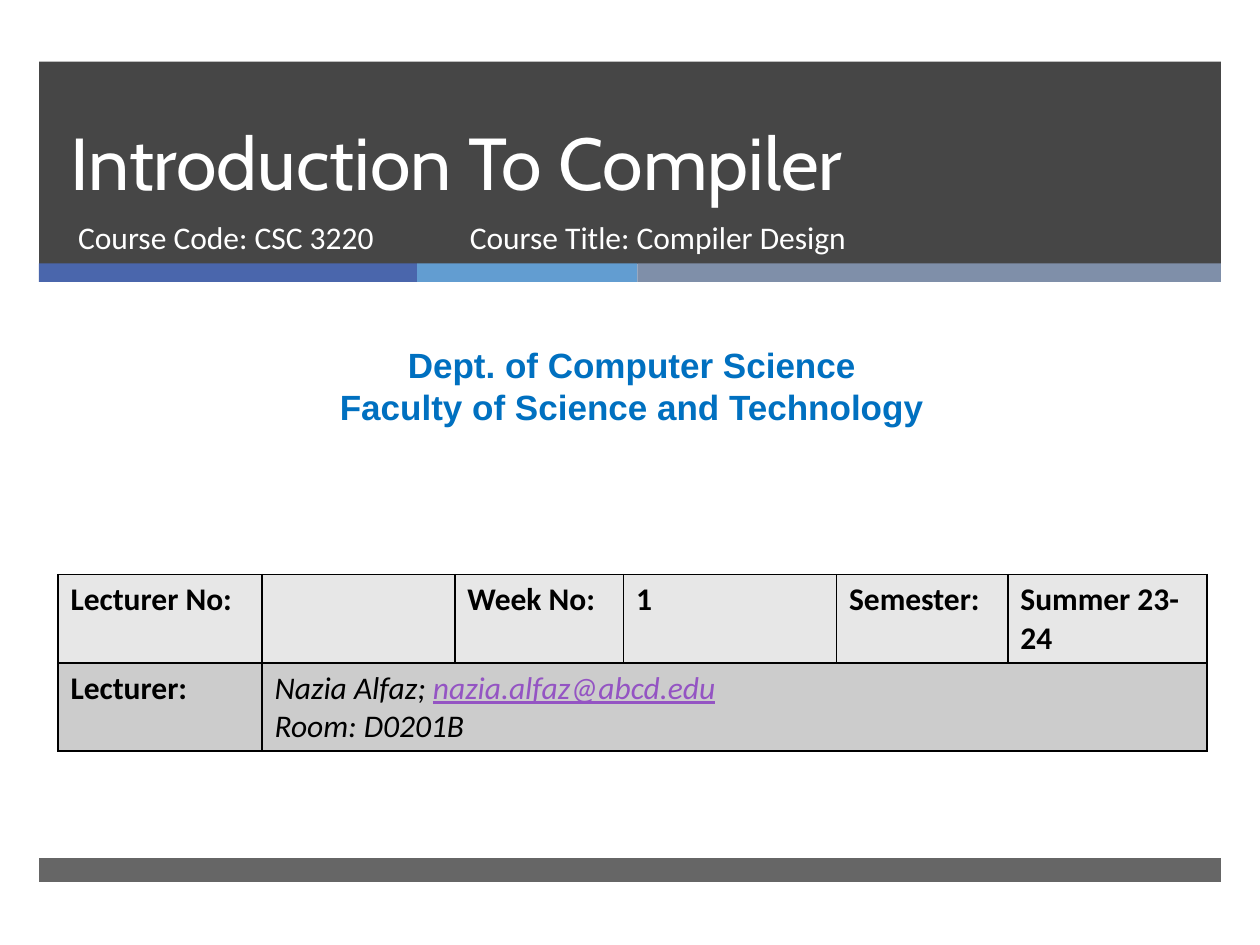
from lxml.etree import SubElement
from pptx import Presentation
from pptx.dml.color import RGBColor
from pptx.enum.shapes import MSO_SHAPE as Shape
from pptx.enum.text import MSO_ANCHOR as Anchor, MSO_AUTO_SIZE as AutoSize, PP_ALIGN as Align
from pptx.oxml.ns import qn
from pptx.util import Pt

WHITE, BLACK, CHARCOAL = "FFFFFF", "000000", "262626"
BAND_LEFT, BAND_WIDTH = 22.32, 675.36

TITLE = {"size": Pt(42), "name": "Cabin", "color": WHITE, "bold": False}
COURSE = {"size": Pt(18), "name": "Calibri", "color": WHITE}
DEPARTMENT = {"size": Pt(20), "name": "Arial", "color": "0070C0", "bold": True}
LABEL = {"size": Pt(18), "name": "Calibri", "color": BLACK, "bold": True}
DETAIL = LABEL | {"bold": False, "italic": True}
EMAIL = DETAIL | {"color": "9454C3", "underline": True}


def paint(colour_format, hex_code):
    colour_format.rgb = RGBColor.from_string(hex_code)


def fill_solid(fill, hex_code):
    fill.solid()
    paint(fill.fore_color, hex_code)


def add_band(slide, left, top, width, height, colour, opacity=100):
    band = slide.shapes.add_shape(Shape.RECTANGLE, Pt(left), Pt(top), Pt(width), Pt(height))
    band.shadow.inherit = False
    band.line.fill.background()
    fill_solid(band.fill, colour)
    if opacity < 100:
        colour_xml = band.fill._xPr.find(qn("a:solidFill"))[0]
        SubElement(colour_xml, qn("a:alpha"), val=str(opacity * 1000))


def write(frame, paragraphs, align=Align.LEFT):
    """Each paragraph is a list of (text, format) runs."""
    frame.word_wrap = True
    for index, runs in enumerate(paragraphs):
        paragraph = frame.paragraphs[0] if index == 0 else frame.add_paragraph()
        paragraph.alignment = align
        paragraph.space_before = Pt(0)
        for text, style in runs:
            run = paragraph.add_run()
            run.text = text
            for key, value in style.items():
                if key == "color":
                    paint(run.font.color, value)
                else:
                    setattr(run.font, key, value)


def fill_placeholder(holder, left, top, width, height, text, style, anchor):
    holder.left, holder.top, holder.width, holder.height = map(Pt, (left, top, width, height))
    write(holder.text_frame, [[(text, style)]])
    holder.text_frame.auto_size = AutoSize.NONE
    holder.text_frame.vertical_anchor = anchor


def add_text(slide, left, top, width, height, paragraphs, align=Align.LEFT):
    box = slide.shapes.add_textbox(Pt(left), Pt(top), Pt(width), Pt(height))
    write(box.text_frame, paragraphs, align)


def set_borders(cell, colour, width):
    properties = cell._tc.get_or_add_tcPr()
    for index, side in enumerate(("lnL", "lnR", "lnT", "lnB")):
        line = SubElement(properties, qn(f"a:{side}"), w=str(Pt(width)))
        SubElement(SubElement(line, qn("a:solidFill")), qn("a:srgbClr"), val=colour)
        properties.insert(index, line)


def add_lecture_table(slide):
    widths = (116.64, 110.16, 96.48, 121.68, 97.92, 113.76)
    row_height = 50.4
    rows = [
        [[[(text, LABEL)]] for text in
         ("Lecturer No:", "", "Week No:", "1", "Semester:", "Summer 23-24")],
        [[[("Lecturer:", LABEL)]],
         [[("Nazia Alfaz; ", DETAIL), ("nazia.alfaz@abcd.edu", EMAIL)],
          [("Room: D0201B", DETAIL)]]],
    ]
    table = slide.shapes.add_table(len(rows), len(widths), Pt(33.12), Pt(328.32),
                                   Pt(sum(widths)), Pt(row_height * len(rows))).table
    for column, width in zip(table.columns, widths):
        column.width = Pt(width)
    for row, contents, shade in zip(table.rows, rows, ("E7E7E7", "CCCCCC")):
        row.height = Pt(row_height)
        for cell in row.cells:
            fill_solid(cell.fill, shade)
            set_borders(cell, BLACK, 1)
        for cell, paragraphs in zip(row.cells, contents):
            write(cell.text_frame, paragraphs)
    # Lecturer details run across the remaining columns
    table.cell(1, 1).merge(table.cell(1, len(widths) - 1))


def main():
    deck = Presentation()
    deck.slide_width, deck.slide_height = Pt(720), Pt(540)
    slide = deck.slides.add_slide(deck.slide_layouts[0])
    title, course_code = slide.placeholders

    # Header, three-colour stripe and footer
    add_band(slide, BAND_LEFT, 35.28, BAND_WIDTH, 115.6, CHARCOAL, 85)
    stripe_left = BAND_LEFT
    for width, colour in ((216, "4A66AC"), (126, "629DD1"), (333.36, "7F8FA9")):
        add_band(slide, stripe_left, 150.48, width, 10.6, colour)
        stripe_left += width
    add_band(slide, BAND_LEFT, 490.32, BAND_WIDTH, 13.68, CHARCOAL, 70)

    # Title and course, brought in front of the header
    for holder in (title, course_code):
        slide.shapes._spTree.append(holder._element)
    fill_placeholder(title, 33.12, 35.28, 614.88, 85.68,
                     "Introduction To Compiler", TITLE, Anchor.BOTTOM)
    title.text_frame.paragraphs[0].line_spacing = Pt(46)
    fill_placeholder(course_code, 37.44, 120.96, 219.6, 38.16,
                     "Course Code: CSC 3220", COURSE, Anchor.TOP)
    add_text(slide, 261.36, 120.96, 327.6, 38.16, [[("Course Title: Compiler Design", COURSE)]])

    # Department
    add_text(slide, 5.76, 192.96, 710.64, 55.44,
             [[("Dept. of Computer Science", DEPARTMENT)],
              [("Faculty of Science and Technology", DEPARTMENT)]], Align.CENTER)

    add_lecture_table(slide)
    deck.save("out.pptx")


if __name__ == "__main__":
    main()
